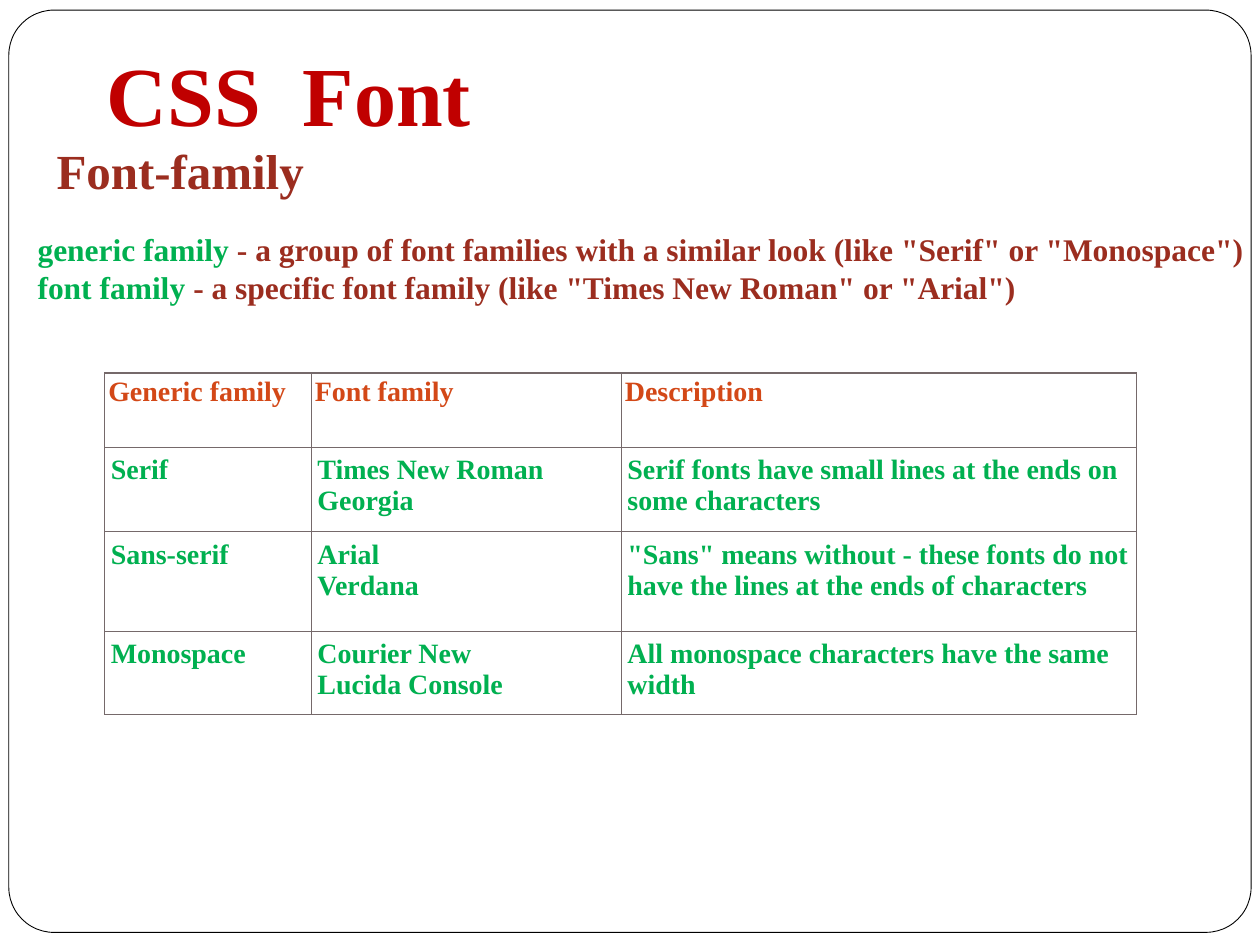
import copy

import pptx
import pptx.dml.color
import pptx.enum.shapes
import pptx.enum.text
import pptx.oxml
import pptx.oxml.ns
import pptx.util
from lxml import etree
from pptx.util import Inches

FONT = "Times New Roman"
GREEN, BROWN, ORANGE, RED = "00B050", "9B2D1F", "D34817", "C00000"
OUTLINE, GRID = "B41A06", "75696A"

DEFINITIONS = [
    [("generic family", GREEN),
     (' - a group of font families with a similar look (like "Serif" or "Monospace")', BROWN)],
    [("font family ", GREEN),
     ('- a specific font family (like "Times New Roman" or "Arial")', BROWN)],
]
COLUMN_WIDTHS = [1.64, 2.46, 4.09]
ROW_HEIGHTS = [0.59, 0.67, 0.79, 0.66]
FAMILIES = [
    ["Generic family", "Font family", "Description"],
    ["Serif", "Times New Roman\vGeorgia",
     "Serif fonts have small lines at the ends on some characters"],
    ["Sans-serif", "Arial\vVerdana",
     '"Sans" means without - these fonts do not have the lines at the ends of characters'],
    ["Monospace", "Courier New\vLucida Console",
     "All monospace characters have the same width"],
]


def rgb(color):
    return pptx.dml.color.RGBColor.from_string(color)


def line_xml(tag, color, points):
    """Return a line element such as a:ln or a:lnL."""
    return pptx.oxml.parse_xml(
        f'<a:{tag} {pptx.oxml.ns.nsdecls("a")} w="{round(points * 12700)}">'
        f'<a:solidFill><a:srgbClr val="{color}"/></a:solidFill></a:{tag}>')


def format_run(run, size, color):
    run.font.name = FONT
    run.font.size = pptx.util.Pt(size)
    run.font.bold = True
    run.font.color.rgb = rgb(color)


def add_text(slide, left, top, width, height, paragraphs, size, outlined=False):
    """Add a text box; each paragraph is a list of (text, color)."""
    box = slide.shapes.add_textbox(
        Inches(left), Inches(top), Inches(width), Inches(height))
    frame = box.text_frame
    frame.word_wrap = True
    frame.auto_size = pptx.enum.text.MSO_AUTO_SIZE.SHAPE_TO_FIT_TEXT
    for index, parts in enumerate(paragraphs):
        paragraph = frame.add_paragraph() if index else frame.paragraphs[0]
        for text, color in parts:
            run = paragraph.add_run()
            run.text = text
            format_run(run, size, color)
            if outlined:
                run.font._element.insert(0, line_xml("ln", OUTLINE, 1.42))


def add_frame(slide):
    frame = slide.shapes.add_shape(
        pptx.enum.shapes.MSO_SHAPE.ROUNDED_RECTANGLE,
        Inches(0.07), Inches(0.08), Inches(9.86), Inches(7.32))
    frame.adjustments[0] = 0.049
    frame.shadow.inherit = False
    frame.fill.solid()
    frame.fill.fore_color.rgb = rgb("FFFFFF")
    frame.line.color.rgb = rgb("000000")
    frame.line.width = pptx.util.Pt(0.5)


def fill_cell(cell, text, color, side_margin, end_margin):
    cell.margin_left = cell.margin_right = Inches(side_margin)
    cell.margin_top = cell.margin_bottom = Inches(end_margin)
    properties = cell._tc.get_or_add_tcPr()
    for tag in ("lnL", "lnR", "lnT", "lnB"):
        properties.append(line_xml(tag, GRID, 0.75))
    cell.fill.background()

    cell.text_frame.text = text
    paragraph = cell.text_frame.paragraphs[0]
    for run in paragraph.runs:
        format_run(run, 16, color)
    # Line breaks take the same font as the text around them
    for line_break in paragraph._p.findall(pptx.oxml.ns.qn("a:br")):
        line_break.append(copy.deepcopy(paragraph.runs[0].font._element))


def add_family_table(slide):
    table = slide.shapes.add_table(
        len(ROW_HEIGHTS), len(COLUMN_WIDTHS), Inches(0.83), Inches(2.96),
        Inches(sum(COLUMN_WIDTHS)), Inches(sum(ROW_HEIGHTS))).table
    table.first_row = table.horz_banding = False
    for column, width in zip(table.columns, COLUMN_WIDTHS):
        column.width = Inches(width)
    for row, height in zip(table.rows, ROW_HEIGHTS):
        row.height = Inches(height)
    for r, texts in enumerate(FAMILIES):
        style = (GREEN, 0.05, 0.06) if r else (ORANGE, 0.03, 0.03)
        for c, text in enumerate(texts):
            fill_cell(table.cell(r, c), text, *style)


def main():
    presentation = pptx.Presentation()
    presentation.slide_width = Inches(10)
    presentation.slide_height = Inches(7.5)
    slide = presentation.slides.add_slide(presentation.slide_layouts[6])

    add_frame(slide)
    # Headings
    add_text(slide, 0.75, 0.29, 4.65, 0.91, [[("CSS  Font", RED)]], 48, outlined=True)
    add_text(slide, 0.35, 1.07, 3.31, 0.57, [[("Font-family", BROWN)]], 28, outlined=True)
    # Definitions and examples
    add_text(slide, 0.2, 1.78, 9.8, 0.71, DEFINITIONS, 18)
    add_family_table(slide)

    presentation.save("out.pptx")


if __name__ == "__main__":
    main()
